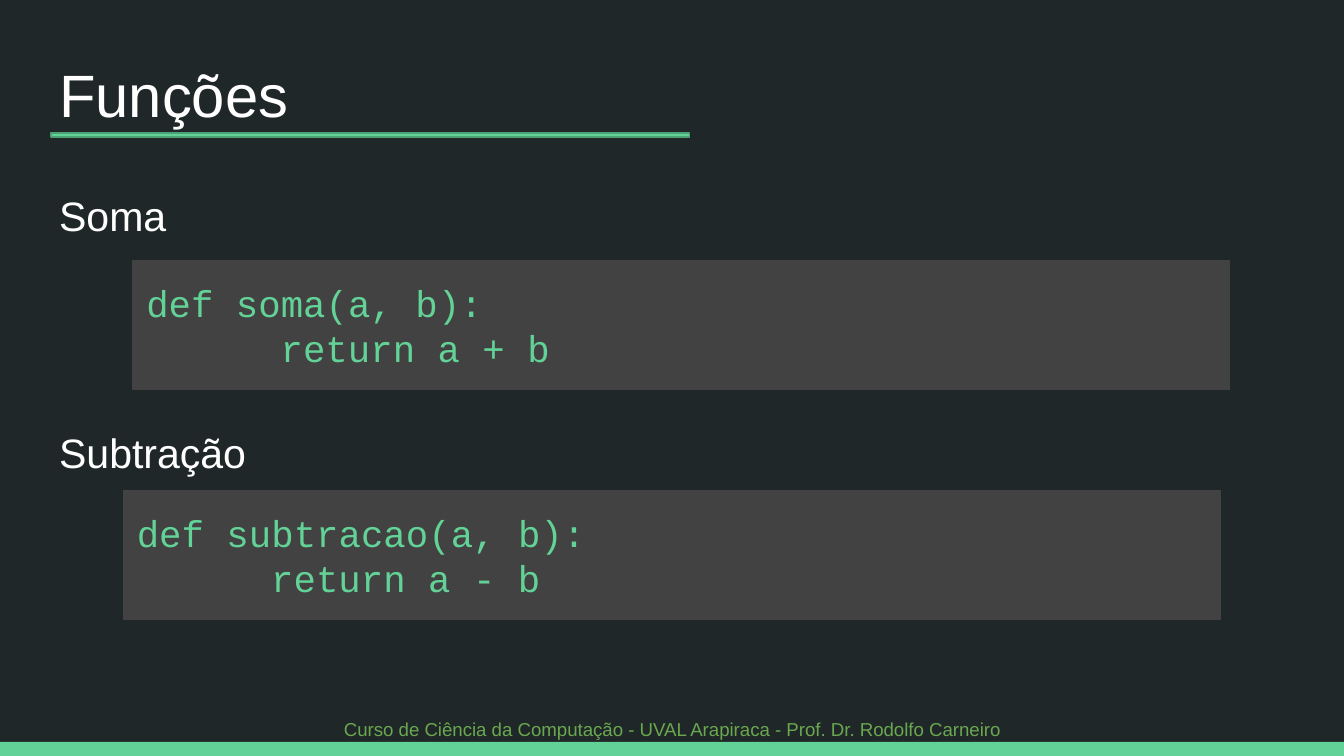
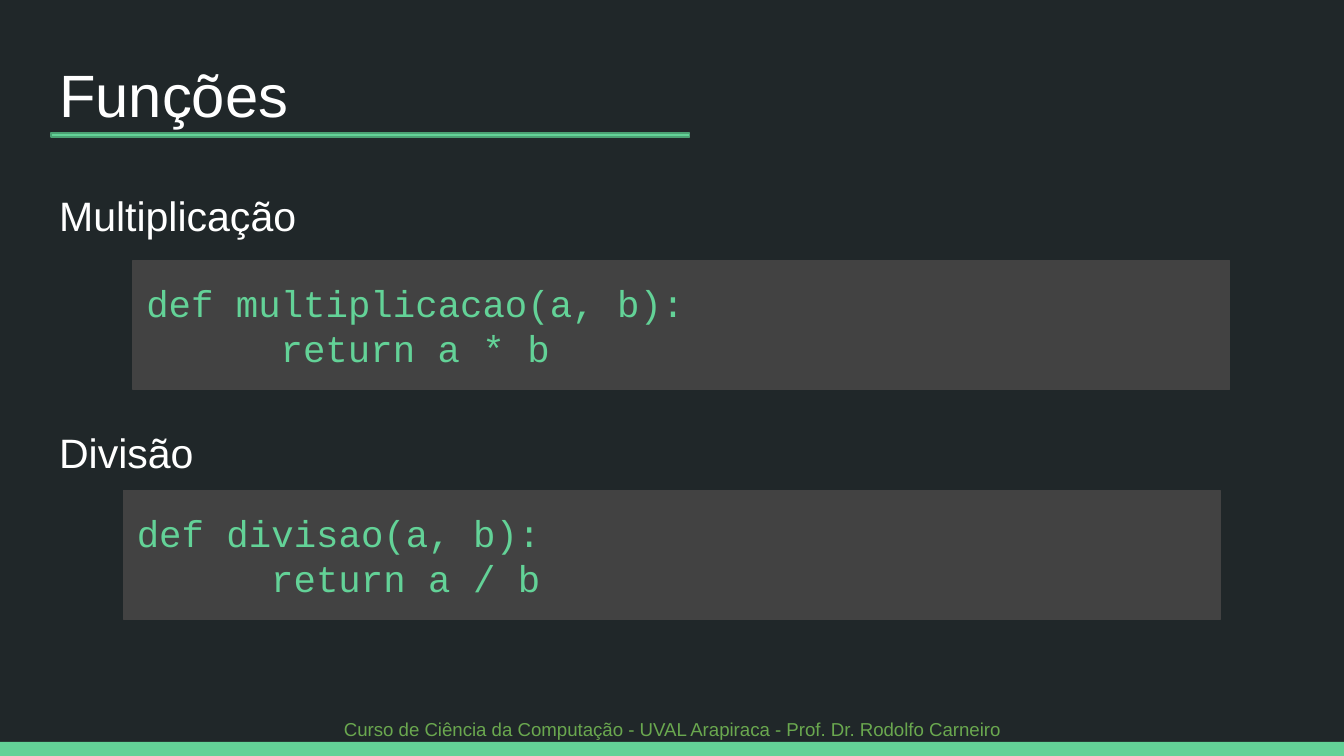
"""Build two slides showing Python functions for the four arithmetic operations."""
from dataclasses import dataclass

from lxml import etree
from pptx import Presentation
from pptx import util as u
from pptx.dml.color import RGBColor
from pptx.enum import shapes, text
from pptx.oxml import ns

BACKGROUND = RGBColor(0x20, 0x27, 0x29)
GREEN = RGBColor(0x63, 0xD2, 0x97)
DARK_GREEN = RGBColor(0x4B, 0xA1, 0x73)
FOOTER_GREEN = RGBColor(0x6A, 0xA8, 0x4F)
CODE_GRAY = RGBColor(0x42, 0x42, 0x42)
WHITE = RGBColor(0xFF, 0xFF, 0xFF)
SANS = "Arial"
MONO = "Courier New"
WIDTH = 10
HEIGHT = WIDTH * 9 / 16
FOOTER = "Curso de Ciência da Computação - UVAL Arapiraca - Prof. Dr. Rodolfo Carneiro"


@dataclass(frozen=True)
class Box:
    left: float
    top: float
    width: float
    height: float

    def lengths(self) -> tuple:
        return tuple(u.Inches(n) for n in (self.left, self.top, self.width, self.height))


@dataclass(frozen=True)
class Operation:
    heading: str
    function: str
    symbol: str

    def code(self) -> str:
        return f"def {self.function}(a, b):\n\treturn a {self.symbol} b"


TITLE = Box(0.34, 0.25, 9.32, 0.73)
BODY = Box(0.34, 1.26, 9.32, 3.74)
UNDERLINE = Box(0.38, 0.99, 4.75, 0.03)
BAND = Box(0, 5.52, WIDTH, 0.11)
CREDITS = Box(0, 5.26, WIDTH, 0.37)
CODE_BOXES = (Box(0.99, 1.94, 8.16, 0.96), Box(0.92, 3.65, 8.16, 0.96))
HEADING_GAPS = (0, 97)

LESSONS = (
    (Operation("Soma", "soma", "+"), Operation("Subtração", "subtracao", "-")),
    (Operation("Multiplicação", "multiplicacao", "*"), Operation("Divisão", "divisao", "/")),
)


def write(frame, content: str, font: str, size: int, color: RGBColor,
          align=text.PP_ALIGN.LEFT, anchor=text.MSO_ANCHOR.TOP) -> None:
    frame.text = content
    frame.word_wrap = True
    frame.auto_size = text.MSO_AUTO_SIZE.NONE
    frame.vertical_anchor = anchor
    frame.margin_left = frame.margin_right = u.Inches(0.1)
    frame.margin_top = frame.margin_bottom = u.Inches(0.1)
    for paragraph in frame.paragraphs:
        paragraph.alignment = align
        for run in paragraph.runs:
            run.font.name = font
            run.font.size = u.Pt(size)
            run.font.color.rgb = color


def place(placeholder, box: Box) -> None:
    placeholder.left, placeholder.top, placeholder.width, placeholder.height = box.lengths()


def remove_bullet(paragraph) -> None:
    properties = paragraph._p.get_or_add_pPr()
    properties.set("marL", "0")
    properties.set("indent", "0")
    etree.SubElement(properties, ns.qn("a:buNone"))


def add_tab_stop(paragraph, position: float) -> None:
    stops = etree.SubElement(paragraph._p.get_or_add_pPr(), ns.qn("a:tabLst"))
    etree.SubElement(stops, ns.qn("a:tab"), pos=str(u.Inches(position)), algn="l")


def add_bar(slide, box: Box, fill: RGBColor, line: RGBColor | None = None):
    bar = slide.shapes.add_shape(shapes.MSO_SHAPE.RECTANGLE, *box.lengths())
    bar.shadow.inherit = False
    bar.fill.solid()
    bar.fill.fore_color.rgb = fill
    if line is None:
        bar.line.fill.background()
    else:
        bar.line.color.rgb = line
        bar.line.width = u.Pt(0.75)
    return bar


def add_title(slide, title: str) -> None:
    place(slide.shapes.title, TITLE)
    frame = slide.shapes.title.text_frame
    write(frame, title, SANS, 32, WHITE)
    frame.paragraphs[0].line_spacing = 1.15
    frame.paragraphs[0].space_after = u.Pt(12)
    add_bar(slide, UNDERLINE, GREEN, DARK_GREEN)


def add_headings(slide, operations: tuple[Operation, ...]) -> None:
    body = slide.placeholders[1]
    place(body, BODY)
    write(body.text_frame, "\n".join(op.heading for op in operations), SANS, 22, WHITE)
    for paragraph, gap in zip(body.text_frame.paragraphs, HEADING_GAPS):
        paragraph.line_spacing = 1.15
        paragraph.space_before = u.Pt(gap)
        remove_bullet(paragraph)


def add_footer(slide) -> None:
    add_bar(slide, BAND, GREEN)
    credits = slide.shapes.add_textbox(*CREDITS.lengths())
    write(credits.text_frame, FOOTER, SANS, 10, FOOTER_GREEN, text.PP_ALIGN.CENTER)
    credits.text_frame.auto_size = text.MSO_AUTO_SIZE.SHAPE_TO_FIT_TEXT


def add_code(slide, operation: Operation, box: Box) -> None:
    panel = add_bar(slide, box, CODE_GRAY, CODE_GRAY)
    write(panel.text_frame, operation.code(), MONO, 20, GREEN, anchor=text.MSO_ANCHOR.MIDDLE)
    add_tab_stop(panel.text_frame.paragraphs[1], 1)


def main() -> None:
    deck = Presentation()
    deck.slide_width, deck.slide_height = u.Inches(WIDTH), u.Inches(HEIGHT)
    backdrop = deck.slide_master.background.fill
    backdrop.solid()
    backdrop.fore_color.rgb = BACKGROUND
    for operations in LESSONS:
        slide = deck.slides.add_slide(deck.slide_layouts[1])
        add_title(slide, "Funções")
        add_headings(slide, operations)
        add_footer(slide)
        for operation, box in zip(operations, CODE_BOXES):
            add_code(slide, operation, box)
    deck.save("out.pptx")


if __name__ == "__main__":
    main()
